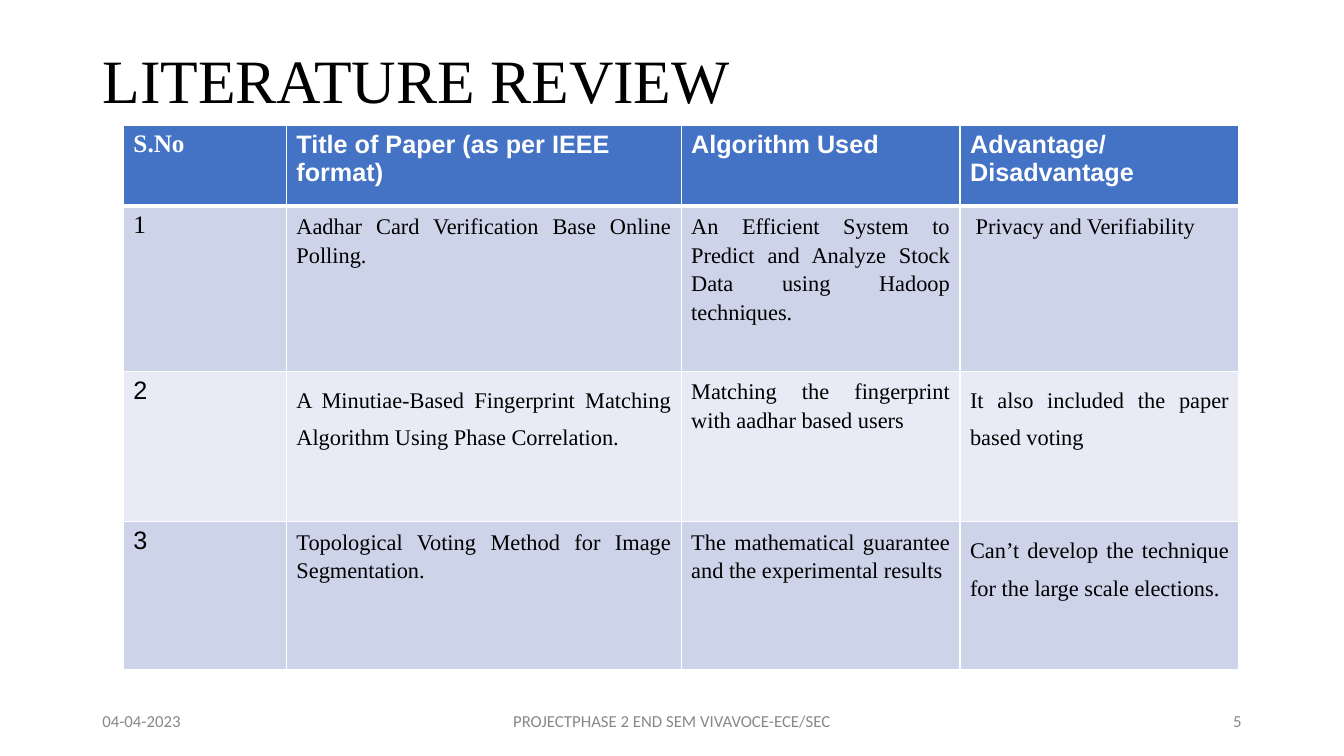
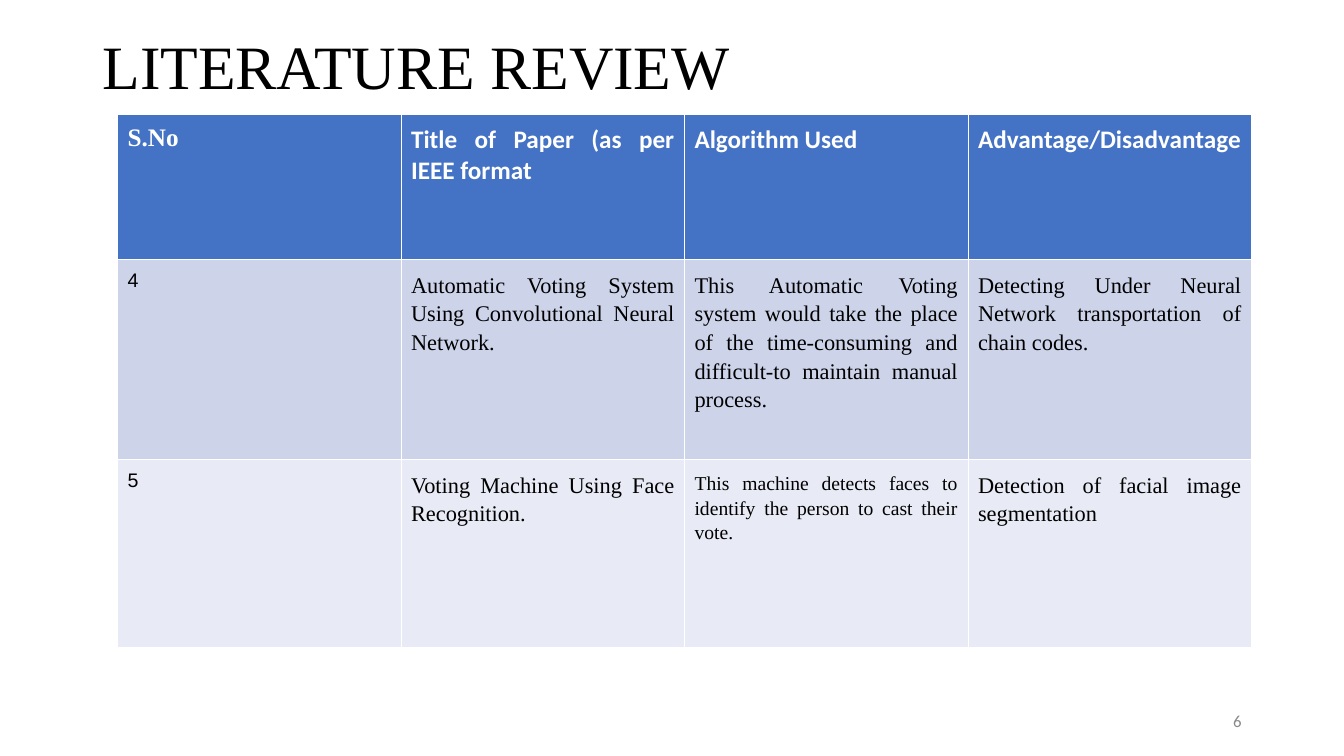
import dataclasses

import pptx
import pptx.dml.color
import pptx.enum.text
import pptx.oxml
import pptx.oxml.ns
import pptx.util

Pt = pptx.util.Pt
ALIGN = pptx.enum.text.PP_ALIGN
MIDDLE = pptx.enum.text.MSO_ANCHOR.MIDDLE

# The slide is a grid of 160 columns by 90 rows, 12 units to the inch
COLS, ROWS, UNITS_PER_INCH = 160, 90, 12
MARGIN = 11


@dataclasses.dataclass(frozen=True)
class Theme:
    title_font: str = "Times New Roman"
    sans: str = "Arial"
    footer_font: str = "Calibri"
    black: str = "000000"
    white: str = "FFFFFF"
    gray: str = "888888"
    header: str = "4472C4"
    bands: tuple = ("CDD4EA", "E8EBF5")
    title_size: int = 44
    large: int = 18
    body: int = 16
    small: int = 14
    footer_size: int = 12


T = Theme()


@dataclasses.dataclass(frozen=True)
class Style:
    font: str = T.title_font
    size: int = T.body
    color: str = T.black
    bold: bool = False
    align: ALIGN = ALIGN.LEFT
    line: float = 1.0
    before: int = 0
    after: int = 0


# Text styles
TITLE = Style(size=T.title_size, line=0.9)
HEAD = Style(size=T.large, color=T.white, bold=True)
HEAD_SANS = dataclasses.replace(HEAD, font=T.sans)
HEAD_JUST = dataclasses.replace(HEAD, font=T.footer_font, align=ALIGN.JUSTIFY)
NUMBER = Style(size=T.large)
NUMBER_SANS = Style(font=T.sans, size=T.large)
NUMBER_SMALL = Style(font=T.sans, size=T.small)
BODY = Style(align=ALIGN.JUSTIFY, line=1.15, before=13)
LOOSE = dataclasses.replace(BODY, line=1.5, before=14)
SPACED = dataclasses.replace(BODY, after=13)
SPACED_SMALL = dataclasses.replace(SPACED, size=T.small)
FOOTER = Style(font=T.footer_font, size=T.footer_size, color=T.gray)

# Table contents, each cell with its style
PAPERS_1 = [
    [("S.No", HEAD), ("Title of Paper (as per IEEE format)", HEAD_SANS),
     ("Algorithm Used", HEAD_SANS), ("Advantage/Disadvantage", HEAD_SANS)],
    [("1", NUMBER), ("Aadhar Card Verification Base Online Polling.", BODY),
     ("An Efficient System to Predict and Analyze Stock Data using Hadoop "
      "techniques.", BODY),
     (" Privacy and Verifiability", BODY)],
    [("2", NUMBER_SANS),
     ("A Minutiae-Based Fingerprint Matching Algorithm Using Phase "
      "Correlation.", LOOSE),
     ("Matching the fingerprint with aadhar based users", BODY),
     ("It also included the paper based voting", LOOSE)],
    [("3", NUMBER_SANS),
     ("Topological Voting Method for Image Segmentation.", BODY),
     ("The mathematical guarantee and the experimental results", BODY),
     ("Can’t develop the technique for the large scale elections.", LOOSE)],
]
PAPERS_2 = [
    [("S.No", HEAD), ("Title of Paper (as per IEEE format", HEAD_JUST),
     ("Algorithm Used", HEAD_JUST), ("Advantage/Disadvantage", HEAD_JUST)],
    [("4", NUMBER_SMALL),
     ("Automatic Voting System Using Convolutional Neural Network.", SPACED),
     ("This Automatic Voting system would take the place of the "
      "time-consuming and difficult-to maintain manual process.", SPACED),
     ("Detecting Under Neural Network transportation of chain codes.",
      SPACED)],
    [("5", NUMBER_SMALL), ("Voting Machine Using Face Recognition.", SPACED),
     ("This machine detects faces to identify the person to cast their vote.",
      SPACED_SMALL),
     ("Detection of facial image segmentation", BODY)],
]


def grid(units):
    return pptx.util.Inches(units / UNITS_PER_INCH)


def rgb(color):
    return pptx.dml.color.RGBColor.from_string(color)


def write(tf, text, style):
    p = tf.paragraphs[0]
    p.text = text
    p.alignment, p.line_spacing = style.align, style.line
    p.space_before, p.space_after = Pt(style.before), Pt(style.after)
    p.font.name, p.font.size = style.font, Pt(style.size)
    p.font.bold = style.bold
    p.font.color.rgb = rgb(style.color)


def add_title(s, text, top, height):
    sp = s.shapes.title
    sp.left, sp.top = grid(MARGIN), grid(top)
    sp.width, sp.height = grid(COLS - 2 * MARGIN), grid(height)
    tf = sp.text_frame
    tf.auto_size = pptx.enum.text.MSO_AUTO_SIZE.NONE
    tf.vertical_anchor = MIDDLE
    write(tf, text, TITLE)


def add_footer(s, text, left, width, align):
    sp = s.shapes.add_textbox(grid(left), grid(83.4), grid(width), grid(4.8))
    tf = sp.text_frame
    tf.word_wrap = True
    tf.vertical_anchor = MIDDLE
    write(tf, text, dataclasses.replace(FOOTER, align=align))


def add_page_number(s, number):
    add_footer(s, number, COLS - MARGIN - 36, 36, ALIGN.RIGHT)


def set_borders(cell, **widths):
    """Draw white borders of the given point widths on sides L, R, T, B."""
    tc_pr = cell._tc.get_or_add_tcPr()
    for side, width in widths.items():
        tc_pr.append(pptx.oxml.parse_xml(
            f'<a:ln{side} {pptx.oxml.ns.nsdecls("a")} w="{Pt(width)}">'
            f'<a:solidFill><a:srgbClr val="{T.white}"/></a:solidFill>'
            f'</a:ln{side}>'))


def add_papers(s, papers, left, top, widths, heights, inset, border, rule):
    """Add a table; rule is the border width below its header row."""
    table = s.shapes.add_table(
        len(papers), len(widths), grid(left), grid(top),
        grid(sum(widths)), grid(sum(heights))).table
    for column, width in zip(table.columns, widths):
        column.width = grid(width)
    for i, (row, height) in enumerate(zip(papers, heights)):
        table.rows[i].height = grid(height)
        fill = T.bands[(i - 1) % 2] if i else T.header
        for j, (text, style) in enumerate(row):
            cell = table.cell(i, j)
            set_borders(cell, L=border, R=border,
                        T=rule if i == 1 else border,
                        B=rule if i == 0 else border)
            cell.fill.solid()
            cell.fill.fore_color.rgb = rgb(fill)
            cell.margin_left = cell.margin_right = grid(1.2)
            cell.margin_top = cell.margin_bottom = grid(inset)
            write(cell.text_frame, text, style)


def main():
    prs = pptx.Presentation()
    prs.slide_width, prs.slide_height = grid(COLS), grid(ROWS)
    title_only = prs.slide_layouts[5]

    # Papers 1 to 3
    s = prs.slides.add_slide(title_only)
    add_title(s, "LITERATURE REVIEW", 2.7, 14.4)
    add_papers(s, PAPERS_1, 14.7, 14.9, [19.4, 47, 33.2, 33.2],
               [9.6, 19.7, 17.9, 17.6], inset=0.6, border=1, rule=3)
    add_footer(s, "04-04-2023", MARGIN, 36, ALIGN.LEFT)
    add_footer(s, "PROJECTPHASE 2 END SEM VIVAVOCE-ECE/SEC",
               (COLS - 54) / 2, 54, ALIGN.CENTER)
    add_page_number(s, "5")

    # Papers 4 and 5
    s = prs.slides.add_slide(title_only)
    add_title(s, "LITERATURE REVIEW", 1.9, 12.7)
    add_page_number(s, "6")
    add_papers(s, PAPERS_2, 14, 13.6, [33.75] * 4, [17.3, 23.8, 22.4],
               inset=1.2, border=0.75, rule=0.75)

    prs.save("out.pptx")


if __name__ == "__main__":
    main()
